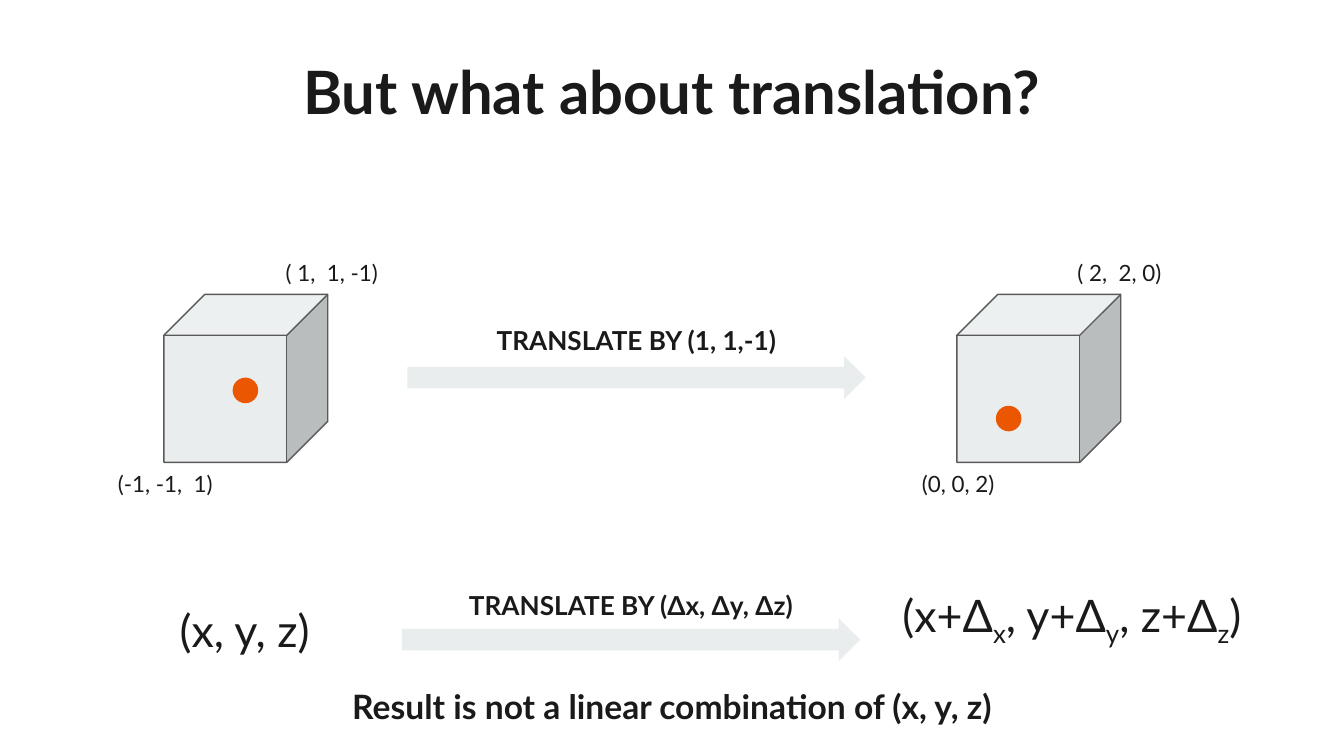
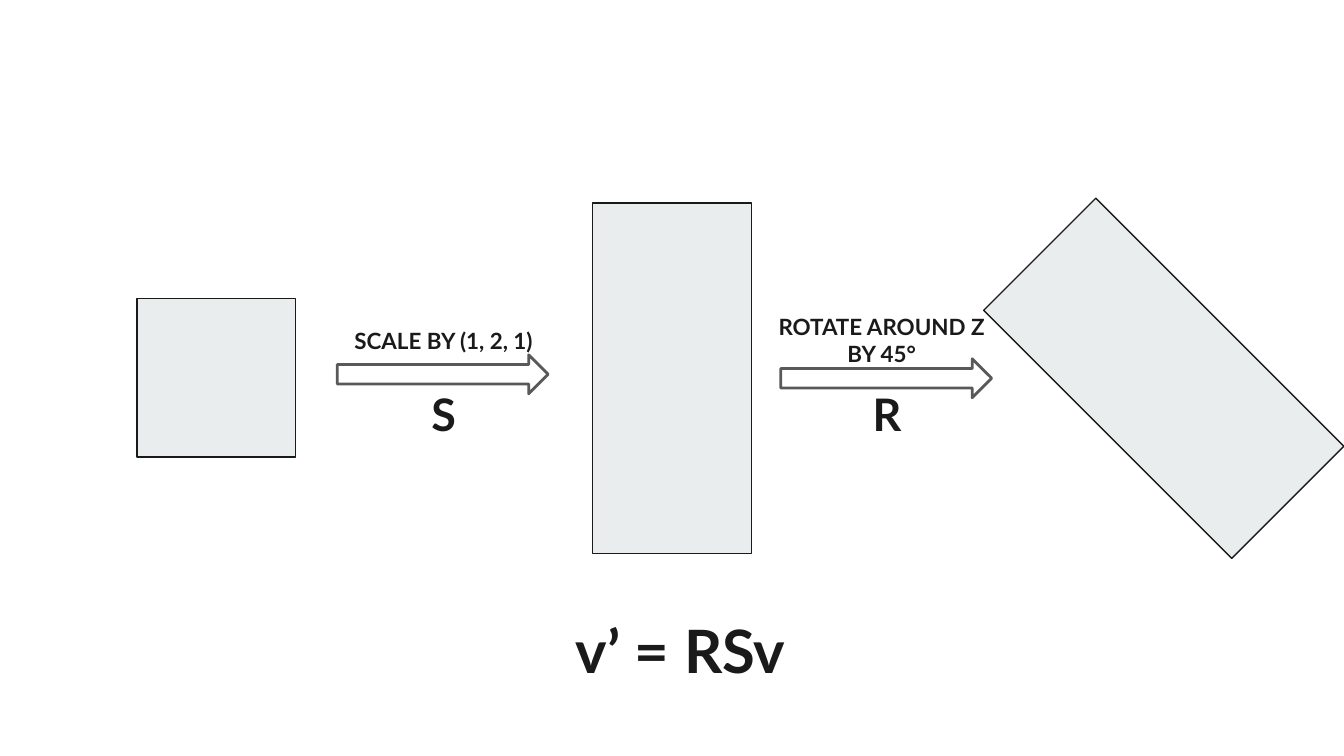
"""Build two slides on translation and on composing transforms."""
from pptx import Presentation
from pptx.dml.color import RGBColor
from pptx.enum.shapes import MSO_SHAPE
from pptx.enum.text import MSO_ANCHOR, MSO_AUTO_SIZE, PP_ALIGN
from pptx.util import Pt

INK = RGBColor(0x1A, 0x1A, 0x1A)
PALE = RGBColor(0xE9, 0xED, 0xEE)
GRAY = RGBColor(0x59, 0x59, 0x59)
ORANGE = RGBColor(0xEB, 0x56, 0x00)
FONT = "Lato"


def write(shape, box, runs, size, bold=False, anchor=MSO_ANCHOR.MIDDLE):
    """Place a text shape and fill it; every second run is a subscript."""
    shape.left, shape.top, shape.width, shape.height = [Pt(length) for length in box]
    frame = shape.text_frame
    frame.word_wrap = True
    frame.auto_size = MSO_AUTO_SIZE.NONE
    frame.vertical_anchor = anchor
    frame.margin_left = frame.margin_right = Pt(7.2)
    frame.margin_top = frame.margin_bottom = Pt(7.2)
    paragraph = frame.paragraphs[0]
    paragraph.alignment = PP_ALIGN.CENTER
    for index, text in enumerate(runs):
        run = paragraph.add_run()
        run.text = text
        run.font.name = FONT
        run.font.size = Pt(size)
        run.font.bold = bold
        run.font.color.rgb = INK
        if index % 2:
            run.font._element.set("baseline", "-25000")


def draw(slide, kind, box, fill=None, line=None, weight=0.75):
    """Add a preset shape with an optional fill and outline."""
    shape = slide.shapes.add_shape(kind, *[Pt(length) for length in box])
    shape.shadow.inherit = False
    if fill is None:
        shape.fill.background()
    else:
        shape.fill.solid()
        shape.fill.fore_color.rgb = fill
    if line is None:
        shape.line.fill.background()
    else:
        shape.line.color.rgb = line
        shape.line.width = Pt(weight)
    return shape


presentation = Presentation()
presentation.slide_width = Pt(720)
presentation.slide_height = Pt(405)

slide = presentation.slides.add_slide(presentation.slide_layouts[5])
write(slide.shapes.title, (112.3, 22.3, 495.4, 52.6),
      ["But what about translation?"], 32, True, MSO_ANCHOR.TOP)

for cube_left, dot_left, dot_top in [(87.8, 124.6, 202.3), (512.6, 533.5, 217.4)]:
    draw(slide, MSO_SHAPE.CUBE, (cube_left, 157.7, 87.8, 90), PALE, GRAY)
    draw(slide, MSO_SHAPE.OVAL, (dot_left, dot_top, 13.7, 13.7), ORANGE)

for left, top, width, corner in [
    (54.7, 247.7, 67.7, "(-1, -1,  1)"),
    (144, 134.6, 67.7, "( 1,  1, -1)"),
    (447.1, 247.7, 132.5, "(0, 0, 2)"),
    (533.5, 134.6, 132.5, "( 2,  2, 0)"),
]:
    write(slide.shapes.add_textbox(0, 0, 0, 0), (left, top, width, 23), [corner], 12)

for left, arrow_top, label_top, label in [
    (218.2, 190.8, 168.5, "TRANSLATE BY (1, 1,-1)"),
    (215.3, 331.2, 310.3, "TRANSLATE BY (Δx, Δy, Δz)"),
]:
    draw(slide, MSO_SHAPE.RIGHT_ARROW, (left, arrow_top, 245.5, 23), PALE)
    write(slide.shapes.add_textbox(0, 0, 0, 0), (left, label_top, 245.5, 27.4),
          [label], 14, True)

write(slide.shapes.add_textbox(0, 0, 0, 0), (69.1, 316.1, 123.8, 41.8), ["(x, y, z)"], 24)
write(slide.shapes.add_textbox(0, 0, 0, 0), (460.8, 310.3, 226.8, 41.8),
      ["(x+Δ", "x", ", y+Δ", "y", ", z+Δ", "z", ")"], 24)
write(slide.shapes.add_textbox(0, 0, 0, 0), (112.3, 360, 495.4, 27.4),
      ["Result is not a linear combination of (x, y, z)"], 18, True, MSO_ANCHOR.TOP)

slide = presentation.slides.add_slide(presentation.slide_layouts[6])
for left, top, height, rotation in [
    (73.4, 159.8, 85, 0), (317.5, 108.7, 188, 0), (581, 108.7, 188, 315),
]:
    block = draw(slide, MSO_SHAPE.RECTANGLE, (left, top, 85, height), PALE, INK)
    block.rotation = rotation

for arrow_left, arrow_top, label_left, label, matrix_left, matrix in [
    (180.7, 190.1, 167.8, "SCALE BY (1, 2, 1)", 167.8, "S"),
    (418.3, 192.2, 402.5, "ROTATE AROUND Z BY 45°", 405.4, "R"),
]:
    draw(slide, MSO_SHAPE.RIGHT_ARROW, (arrow_left, arrow_top, 113, 20.9),
         line=GRAY, weight=1.5)
    write(slide.shapes.add_textbox(0, 0, 0, 0), (label_left, 168.5, 139.7, 27.4),
          [label], 12, True)
    write(slide.shapes.add_textbox(0, 0, 0, 0), (matrix_left, 208.1, 139.7, 27.4),
          [matrix], 24, True)

write(slide.shapes.add_textbox(0, 0, 0, 0), (43.2, 321.8, 643, 64.8),
      ["v’ = RSv"], 32, True, MSO_ANCHOR.TOP)

presentation.save("out.pptx")
